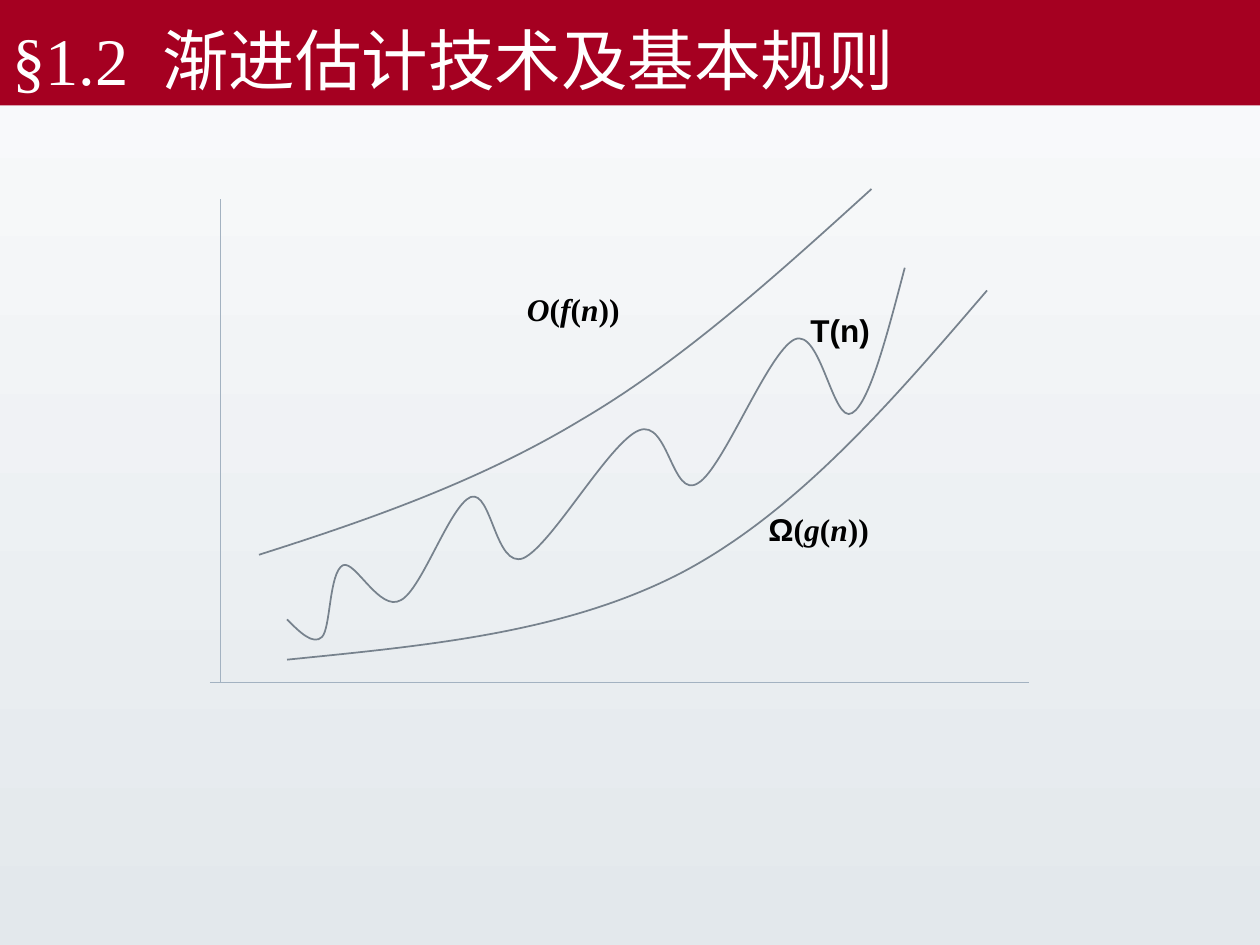
from pptx import Presentation
from pptx.dml.color import RGBColor
from pptx.enum.shapes import MSO_CONNECTOR, MSO_SHAPE
from pptx.enum.text import MSO_ANCHOR as ANCHOR, MSO_AUTO_SIZE as AUTO
from pptx.oxml.ns import qn
from pptx.util import Pt
from lxml.etree import SubElement

SERIF, SANS = "Times New Roman", "Arial"


def color(code):
    return RGBColor.from_string(code)


class Canvas:
    axis, curve, ink = "A3B2C1", "77828D", "000000"
    band, title = "A50021", "FFFFFF"
    label_size, title_size = 18, 38

    def __init__(self, prs):
        self.s = prs.slides.add_slide(prs.slide_layouts[6])

    def background(self, top, bottom):
        fill = self.s.background.fill
        fill.gradient()
        fill.gradient_angle = 270
        for stop, code, pos in zip(fill.gradient_stops, (top, bottom), (0, 1)):
            stop.color.rgb = color(code)
            stop.position = pos

    def add_run(self, p, text, font, size, code, bold=False, italic=False):
        r = p.add_run()
        r.text = text
        f = r.font
        f.name, f.size, f.bold, f.italic = font, Pt(size), bold, italic
        f.color.rgb = color(code)

    def line(self, x1, y1, x2, y2):
        ln = self.s.shapes.add_connector(
            MSO_CONNECTOR.STRAIGHT, Pt(x1), Pt(y1), Pt(x2), Pt(y2))
        ln.line.color.rgb = color(self.axis)
        ln.line.width = Pt(0.5)
        SubElement(ln.element.spPr, qn("a:effectLst"))

    def smooth_curve(self, points):
        """Start point, then two control points and an end point per arc."""
        fb = self.s.shapes.build_freeform(*points[0], scale=Pt(1))
        fb.add_line_segments(points[1:], close=False)
        sp = fb.convert_to_shape()
        sp.shadow.inherit = False
        sp.fill.background()
        sp.line.color.rgb = color(self.curve)
        sp.line.width = Pt(1)
        # Turn each three straight segments into one cubic arc
        outline = next(sp.element.iter(qn("a:path")))
        segments = outline.findall(qn("a:lnTo"))
        for i in range(0, len(segments), 3):
            arc = SubElement(outline, qn("a:cubicBezTo"))
            for seg in segments[i:i + 3]:
                arc.append(seg[0])
                outline.remove(seg)

    def label(self, x, y, w, runs):
        tb = self.s.shapes.add_textbox(Pt(x), Pt(y), Pt(w), Pt(29))
        tf = tb.text_frame
        tf.word_wrap = True
        tf.auto_size = AUTO.SHAPE_TO_FIT_TEXT
        for text, font, italic in runs:
            self.add_run(tf.paragraphs[0], text, font, self.label_size,
                         self.ink, True, italic)

    def title_band(self, w, h, text):
        sp = self.s.shapes.add_shape(MSO_SHAPE.RECTANGLE, 0, 0, Pt(w), Pt(h))
        sp.shadow.inherit = False
        sp.fill.solid()
        sp.fill.fore_color.rgb = color(self.band)
        sp.line.fill.background()
        tf = sp.text_frame
        tf.word_wrap = True
        tf.vertical_anchor = ANCHOR.BOTTOM
        p = tf.paragraphs[0]
        p.alignment = 1  # left
        self.add_run(p, text, SERIF, self.title_size, self.title)


def bound(name, font):
    """Runs for a bound such as O(f(n))."""
    symbol, func = name
    return [(symbol, font, font == SERIF), ("(", SERIF, False),
            (func, SERIF, True), ("(", SERIF, False),
            ("n", SERIF, True), ("))", SERIF, False)]


def main():
    prs = Presentation()
    prs.slide_width, prs.slide_height = Pt(720), Pt(540)
    c = Canvas(prs)
    c.background("FAFBFC", "E3E8EC")

    # Axes
    c.line(120, 390, 588, 390)
    c.line(126, 114, 126, 390)

    # Running time T(n)
    c.smooth_curve([
        (164, 354.2), (171.4, 361.4), (178.6, 369.4), (183.6, 363.6),
        (189.4, 358.6), (187.9, 326.9), (195.8, 323.3),
        (203, 319.7), (216.7, 349.9), (229, 343.4),
        (241.2, 337), (257, 288.7), (269.3, 284.4),
        (280.8, 280.1), (283, 324.7), (298.8, 319),
        (315.4, 312.5), (348.5, 252.7), (365, 246.2),
        (381.6, 239), (383.8, 285.8), (398.9, 276.5),
        (413.3, 267.8), (439.2, 200.9), (454.3, 193.7),
        (468.7, 187.2), (475.9, 243.4), (486.7, 236.2),
        (496.8, 229.7), (506.9, 190.8), (517, 152.6)])

    # Lower and upper bounds
    c.smooth_curve([
        (164, 377), (243.4, 369.4), (323.3, 362.2), (389.5, 326.9),
        (456.5, 291.6), (509.8, 229), (563.8, 165.6)])
    c.smooth_curve([
        (148.3, 317.2), (211, 296.6), (273.6, 275), (331.9, 240.5),
        (390.2, 205.9), (443.5, 157), (497.5, 108)])

    # Curve labels
    c.label(456, 174, 54, [("T(n)", SANS, False)])
    c.label(294, 162, 78, bound("Of", SERIF))
    c.label(432, 288, 78, bound("Ωg", SANS))

    # Title
    c.title_band(720, 60.25, "§1.2  渐进估计技术及基本规则")

    prs.save("out.pptx")


if __name__ == "__main__":
    main()
